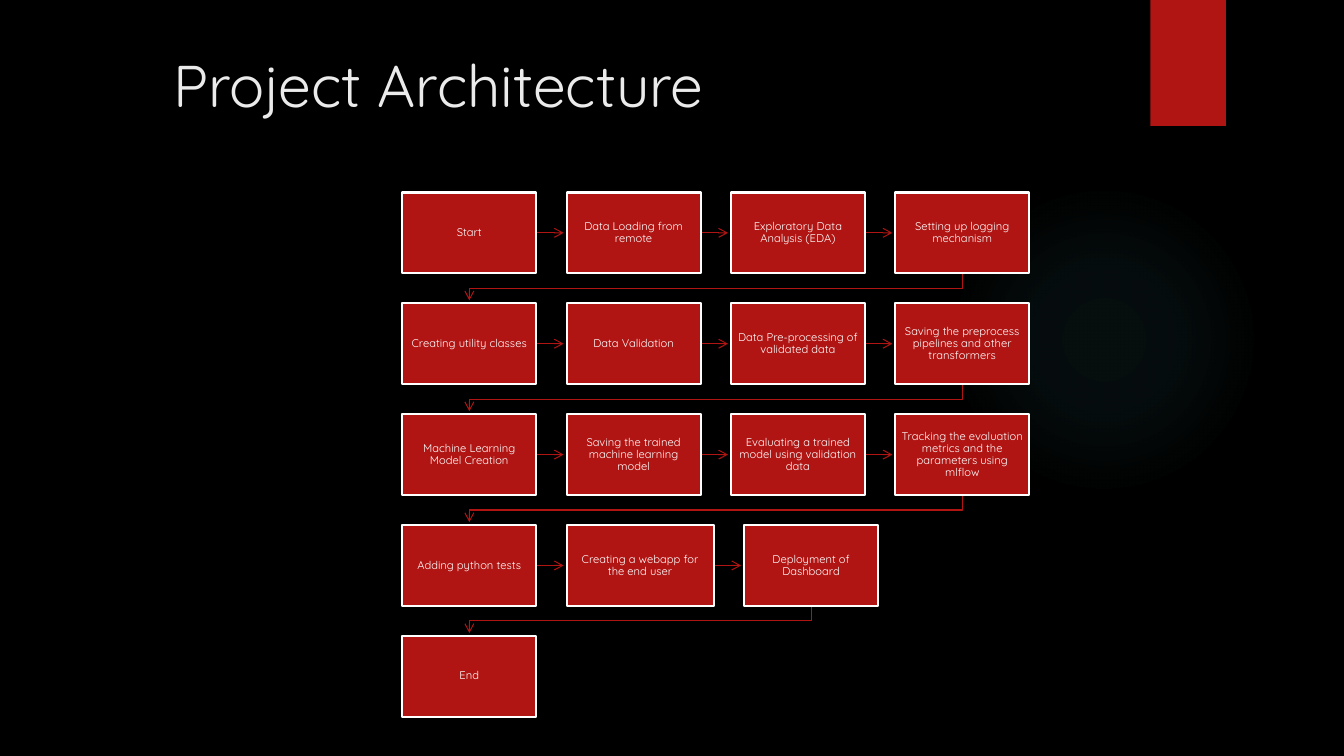
from pptx import Presentation
from pptx.dml.color import RGBColor
from pptx.enum.shapes import MSO_CONNECTOR, MSO_SHAPE
from pptx.enum.text import MSO_ANCHOR, PP_ALIGN
from pptx.oxml import parse_xml
from pptx.oxml.ns import nsdecls
from pptx.util import Inches, Pt

TITLE = "Project Architecture"
STEP_ROWS = [
    ["Start", "Data Loading from remote", "Exploratory Data Analysis (EDA)",
     "Setting up logging mechanism"],
    ["Creating utility classes", "Data Validation",
     "Data Pre-processing of validated data",
     "Saving the preprocess pipelines and other transformers"],
    ["Machine Learning Model Creation",
     "Saving the trained machine learning model",
     "Evaluating a trained model using validation data",
     "Tracking the evaluation metrics and the parameters using mlflow"],
    ["Adding python tests", "Creating a webapp for the end user",
     "Deployment of Dashboard"],
    ["End"],
]
WIDE_STEPS = {"Creating a webapp for the end user": 1.46}

FONT = "Quicksand"
BLACK = RGBColor(0x00, 0x00, 0x00)
WHITE = RGBColor(0xFF, 0xFF, 0xFF)
RED = RGBColor(0xB0, 0x15, 0x13)
PALE = RGBColor(0xEB, 0xEB, 0xEB)
GLOW = RGBColor(0x50, 0xB9, 0xC1)
GLOW_STOPS = [(0, 7), (36, 6), (69, 0)]  # position %, opacity %

FLOW_LEFT, FLOW_TOP = 3.99, 1.91
STEP_WIDTH, STEP_HEIGHT = 1.33, 0.8
GAP = 0.3
ARROW_CLEARANCE = 0.03
INSET = 0.06


def add_run(para, text, size, color):
    span = para.add_run()
    span.text = text
    span.font.name = FONT
    span.font.size = Pt(size)
    span.font.color.rgb = color


def add_plain_shape(page, kind, left, top, width, height):
    shape = page.shapes.add_shape(
        kind, Inches(left), Inches(top), Inches(width), Inches(height))
    shape.shadow.inherit = False
    shape.fill.solid()
    shape.fill.fore_color.rgb = RED
    shape.line.fill.background()
    return shape


def add_glow(page):
    glow = add_plain_shape(page, MSO_SHAPE.OVAL, 9.41, 1.83, 3.08, 3.08)
    stops = "".join(
        f'<a:gs pos="{position * 1000}"><a:srgbClr val="{GLOW}">'
        f'<a:alpha val="{opacity * 1000}"/></a:srgbClr></a:gs>'
        for position, opacity in GLOW_STOPS)
    gradient = parse_xml(
        f'<a:gradFill {nsdecls("a")} rotWithShape="1"><a:gsLst>{stops}</a:gsLst>'
        '<a:path path="circle"><a:fillToRect l="50000" t="50000" r="50000" '
        'b="50000"/></a:path></a:gradFill>')
    properties = glow.element.spPr
    properties.replace(properties.find("{*}solidFill"), gradient)


def style_arrow(arrow):
    arrow.line.color.rgb = RED
    arrow.line.width = Pt(0.75)
    arrow.line._get_or_add_ln().append(
        parse_xml(f'<a:tailEnd {nsdecls("a")} type="arrow"/>'))


def add_next_arrow(page, left, middle):
    """Draw the arrow across the gap to the next step in the row."""
    arrow = page.shapes.add_connector(
        MSO_CONNECTOR.STRAIGHT, Inches(left), Inches(middle),
        Inches(left + GAP - ARROW_CLEARANCE), Inches(middle))
    style_arrow(arrow)
    arrow.element.spPr.append(parse_xml(f'<a:effectLst {nsdecls("a")}/>'))


def add_return_arrow(page, start, bottom):
    """Draw the bent arrow from a row's last step to the next row's first."""
    target = FLOW_LEFT + STEP_WIDTH / 2
    turn = bottom + GAP / 2
    tip = bottom + GAP - ARROW_CLEARANCE
    builder = page.shapes.build_freeform(Inches(start), Inches(bottom))
    corners = [(start, turn), (target, turn), (target, tip)]
    builder.add_line_segments(
        [(Inches(x), Inches(y)) for x, y in corners], close=False)
    arrow = builder.convert_to_shape()
    arrow.shadow.inherit = False
    arrow.fill.background()
    style_arrow(arrow)


def add_step(page, text, left, top, width):
    step = add_plain_shape(
        page, MSO_SHAPE.RECTANGLE, left, top, width, STEP_HEIGHT)
    step.line.color.rgb = WHITE
    step.line.width = Pt(1.5)
    frame = step.text_frame
    frame.word_wrap = True
    frame.vertical_anchor = MSO_ANCHOR.MIDDLE
    frame.margin_left = frame.margin_right = Inches(INSET)
    frame.margin_top = frame.margin_bottom = Inches(INSET)
    para = frame.paragraphs[0]
    para.alignment = PP_ALIGN.CENTER
    para.line_spacing = 0.9
    para.space_after = Pt(2.8)
    add_run(para, text, 8, WHITE)


def add_flow(page):
    for row, steps in enumerate(STEP_ROWS):
        left = FLOW_LEFT
        top = FLOW_TOP + row * (STEP_HEIGHT + GAP)
        for text in steps:
            width = WIDE_STEPS.get(text, STEP_WIDTH)
            if text != steps[-1]:
                add_next_arrow(page, left + width, top + STEP_HEIGHT / 2)
            elif steps != STEP_ROWS[-1]:
                add_return_arrow(page, left + width / 2, top + STEP_HEIGHT)
            add_step(page, text, left, top, width)
            left += width + GAP


def add_title(page):
    title = page.shapes.title
    title.left, title.top = Inches(1.62), Inches(0.43)
    title.width, title.height = Inches(10.96), Inches(0.99)
    title.text_frame.vertical_anchor = MSO_ANCHOR.TOP
    para = title.text_frame.paragraphs[0]
    para.alignment = PP_ALIGN.LEFT
    add_run(para, TITLE, 42, PALE)


def main():
    deck = Presentation()
    deck.slide_width, deck.slide_height = Inches(13.33), Inches(7.5)
    page = deck.slides.add_slide(deck.slide_layouts[5])
    page.background.fill.solid()
    page.background.fill.fore_color.rgb = BLACK
    add_glow(page)
    add_plain_shape(page, MSO_SHAPE.RECTANGLE, 11.41, 0, 0.75, 1.25)
    add_title(page)
    add_flow(page)
    deck.save("out.pptx")


if __name__ == "__main__":
    main()
